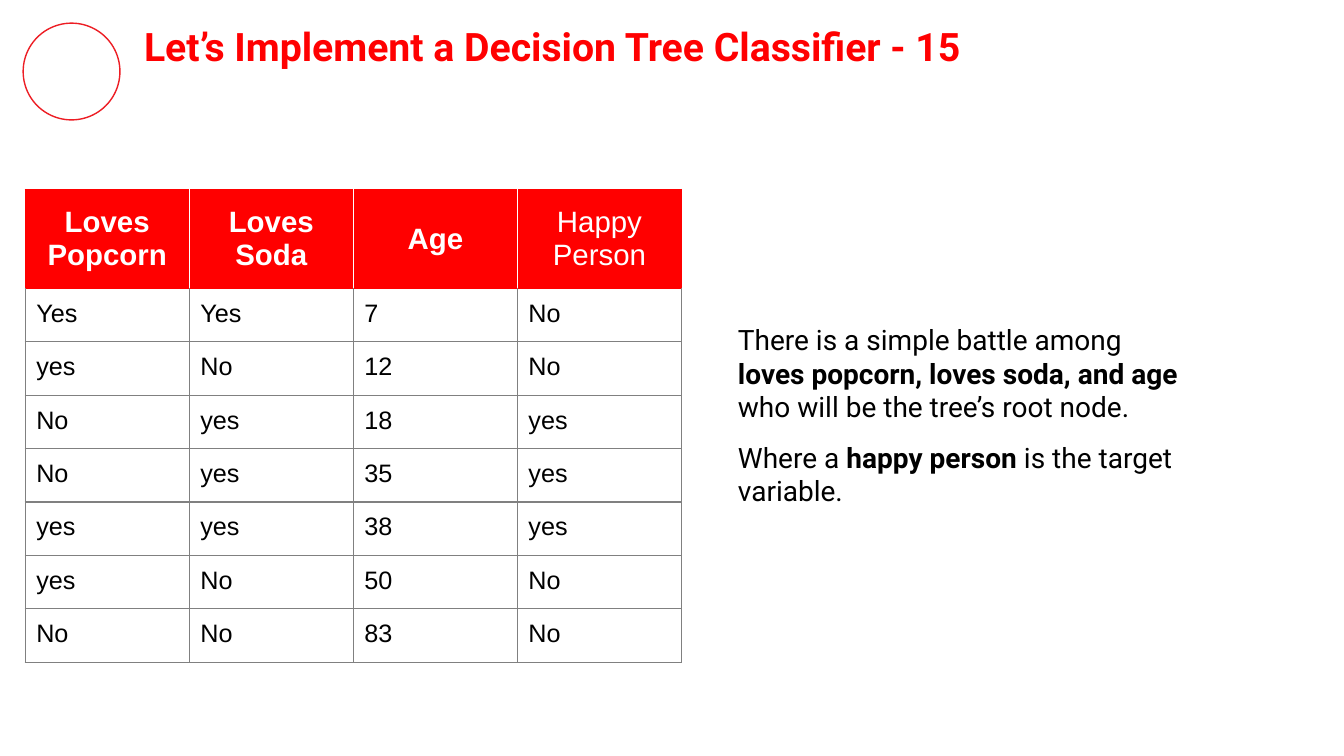
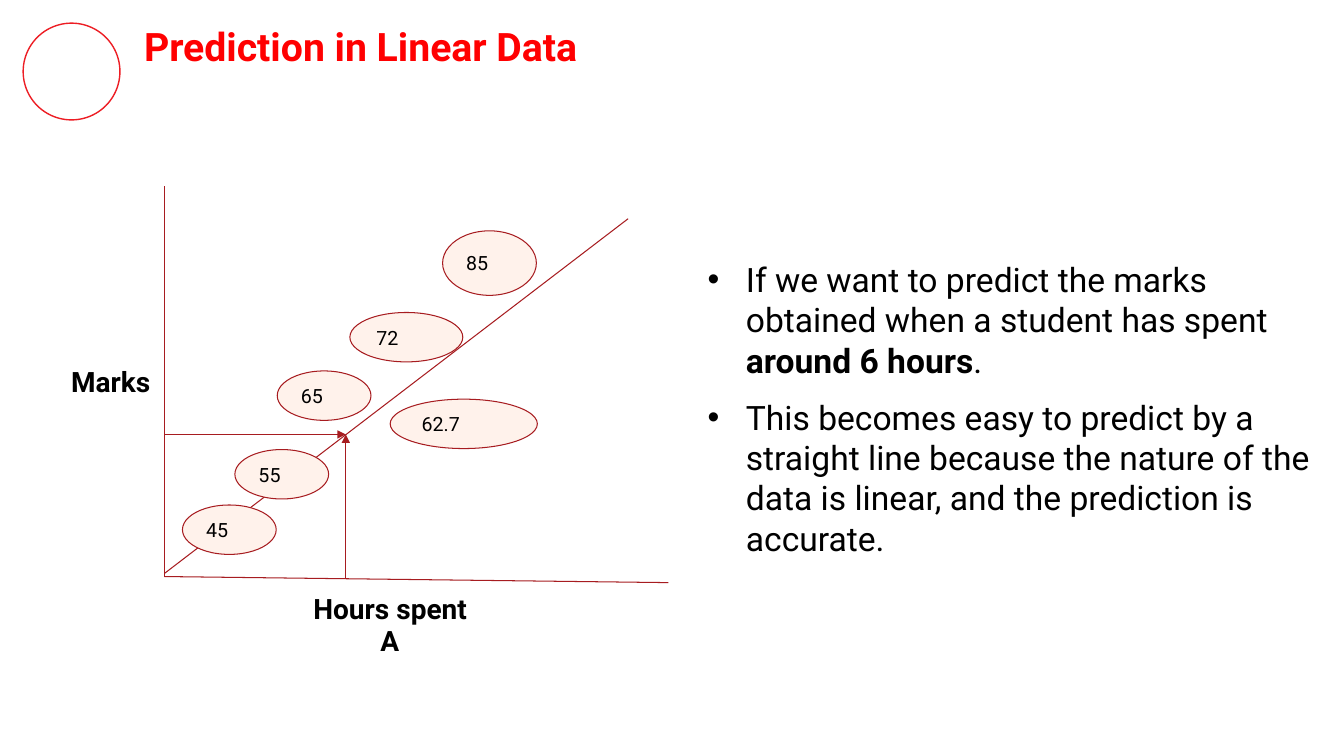
from lxml import etree
from pptx import Presentation
from pptx.dml.color import RGBColor
from pptx.enum import shapes, text
from pptx.oxml import ns
from pptx.util import Inches, Pt

# Shared look
RED, TITLE_RED, RING_RED, DARK_RED = "FF0000", "FF0001", "ED1D24", "A71C20"
BLACK, WHITE, GREY, CREAM = "000000", "FFFFFF", "808080", "FFF2EB"
BODY_FONT, TABLE_FONT = "Roboto", "Arial"
LEFT, CENTER, RIGHT = text.PP_ALIGN.LEFT, text.PP_ALIGN.CENTER, text.PP_ALIGN.RIGHT

# Content: a paragraph is a list of (words, bold)
TREE_TITLE = "Let’s Implement a Decision Tree Classifier - 15"
HEADERS = [("Loves Popcorn", True), ("Loves Soda", True), ("Age", True), ("Happy Person", False)]
PEOPLE = [
    ("Yes", "Yes", "7", "No"),
    ("yes", "No", "12", "No"),
    ("No", "yes", "18", "yes"),
    ("No", "yes", "35", "yes"),
    ("yes", "yes", "38", "yes"),
    ("yes", "No", "50", "No"),
    ("No", "No", "83", "No"),
]
BATTLE = [
    [("There is a simple battle among ", False), ("loves popcorn, loves soda, and age ", True),
     ("who will be the tree’s root node.", False)],
    [("Where a ", False), ("happy person", True), (" is the target variable.", False)],
]

LINEAR_TITLE = "Prediction in Linear Data"
ORIGIN_X, ORIGIN_Y = 1.63, 5.72
HOURS_X, MARKS_Y = 3.43, 4.31
GRAPH_LINES = [  # start, end
    ((ORIGIN_X, 5.69), (6.23, 2.17)),
    ((ORIGIN_X, 1.85), (ORIGIN_X, ORIGIN_Y)),
    ((ORIGIN_X, ORIGIN_Y), (6.63, 5.78)),
]
PREDICTION_ARROWS = [
    ((HOURS_X, 5.74), (HOURS_X, MARKS_Y)),
    ((ORIGIN_X, MARKS_Y), (HOURS_X, MARKS_Y)),
]
AXIS_LABELS = [  # words, box, alignment
    ("A", (3.24, 6.09, 1.25, 0.54), CENTER),
    ("Hours spent", (2.14, 5.77, 3.46, 0.54), CENTER),
    ("Marks", (0.25, 3.52, 1.34, 0.54), RIGHT),
]
SCORES = [  # mark, box
    ("45", (1.81, 5.01, 0.93, 0.49)),
    ("55", (2.33, 4.46, 0.93, 0.49)),
    ("65", (2.75, 3.68, 0.93, 0.49)),
    ("62.7", (3.87, 3.96, 1.46, 0.49)),
    ("72", (3.47, 3.1, 1.12, 0.49)),
    ("85", (4.39, 2.29, 0.93, 0.64)),
]
REASONS = [
    [("If we want to predict the marks obtained when a student has spent", False),
     (" around 6 hours", True), (".", False)],
    [("This becomes easy to predict by a straight line because the nature of the data is "
      "linear, and the prediction is accurate.", False)],
]


def rgb(color):
    return RGBColor.from_string(color)


def inches(values):
    return [Inches(v) for v in values]


def style(font, size, color=BLACK, bold=False, name=BODY_FONT):
    font.name, font.size, font.bold = name, Pt(size), bold
    font.color.rgb = rgb(color)


def set_margins(owner, side, top):
    owner.margin_left = owner.margin_right = Inches(side)
    owner.margin_top = owner.margin_bottom = Inches(top)


def add_bullet(paragraph, indent=0.38):
    props = paragraph._p.get_or_add_pPr()
    props.set("marL", str(Inches(indent)))
    props.set("indent", str(-Inches(indent)))
    color = etree.SubElement(props, ns.qn("a:buClr"))
    etree.SubElement(color, ns.qn("a:srgbClr"), val=BLACK)
    etree.SubElement(props, ns.qn("a:buFont"), typeface="Arial")
    etree.SubElement(props, ns.qn("a:buChar"), char="•")


def add_text(slide, box, paragraphs, size, color=BLACK, align=LEFT, after=0,
             bullets=False, top_margin=0.1):
    frame = slide.shapes.add_textbox(*inches(box)).text_frame
    frame.word_wrap = True
    set_margins(frame, 0.1, top_margin)
    for i, pieces in enumerate(paragraphs):
        paragraph = frame.add_paragraph() if i else frame.paragraphs[0]
        if bullets:
            add_bullet(paragraph)
        paragraph.alignment = align
        paragraph.space_after = Pt(after)
        for words, bold in pieces:
            run = paragraph.add_run()
            run.text = words
            style(run.font, size, color, bold)


def add_ellipse(slide, box, line_color, width, fill=None):
    ellipse = slide.shapes.add_shape(shapes.MSO_SHAPE.OVAL, *inches(box))
    ellipse.shadow.inherit = False
    if fill:
        ellipse.fill.solid()
        ellipse.fill.fore_color.rgb = rgb(fill)
    else:
        ellipse.fill.background()
    ellipse.line.color.rgb = rgb(line_color)
    ellipse.line.width = Pt(width)
    return ellipse


def add_line(slide, start, end, arrow=False):
    line = slide.shapes.add_connector(shapes.MSO_CONNECTOR.STRAIGHT, *inches(start + end))
    line.line.color.rgb = rgb(DARK_RED)
    line.line.width = Pt(0.75)
    if arrow:
        etree.SubElement(line.line._get_or_add_ln(), ns.qn("a:tailEnd"), type="triangle")
    etree.SubElement(line._element.spPr, ns.qn("a:effectLst"))


def set_borders(cell, **colors):
    props = cell._tc.get_or_add_tcPr()
    for position, side in enumerate("LRTB"):
        border = etree.Element(ns.qn(f"a:ln{side}"), w=str(Pt(1)))
        fill = etree.SubElement(border, ns.qn("a:solidFill"))
        etree.SubElement(fill, ns.qn("a:srgbClr"), val=colors[side])
        props.insert(position, border)


def fill_cell(cell, words, fill, size, color, bold, align, anchor):
    set_margins(cell, 0.11, 0.11)
    cell.fill.solid()
    cell.fill.fore_color.rgb = rgb(fill)
    cell.vertical_anchor = anchor
    paragraph = cell.text_frame.paragraphs[0]
    paragraph.text = words
    paragraph.alignment = align
    style(paragraph.runs[0].font, size, color, bold, TABLE_FONT)


def add_people_table(slide):
    columns = len(HEADERS)
    table = slide.shapes.add_table(len(PEOPLE) + 1, columns,
                                   *inches((0.25, 1.88, 6.51, 4.72))).table
    for column in table.columns:
        column.width = Inches(6.51 / columns)
    for r, row in enumerate(table.rows):
        row.height = Inches(0.53 if r else 0.98)

    for c, (words, bold) in enumerate(HEADERS):
        cell = table.cell(0, c)
        fill_cell(cell, words, RED, 21, WHITE, bold, CENTER, text.MSO_ANCHOR.MIDDLE)
        set_borders(cell, L=WHITE if c else RED, R=WHITE if c < columns - 1 else RED,
                    T=RED, B=RED)
    for r, person in enumerate(PEOPLE, 1):
        for c, words in enumerate(person):
            cell = table.cell(r, c)
            fill_cell(cell, words, WHITE, 18, BLACK, False, LEFT, text.MSO_ANCHOR.TOP)
            set_borders(cell, L=GREY, R=GREY, T=RED if r == 1 else GREY, B=GREY)


def add_slide(deck, title):
    slide = deck.slides.add_slide(deck.slide_layouts[6])
    add_ellipse(slide, (0.23, 0.23, 0.96, 0.96), RING_RED, 1)
    add_text(slide, (1.33, 0.12, 11.18, 0.67), [[(title, True)]], 28, TITLE_RED)
    return slide


def build_tree_slide(deck):
    slide = add_slide(deck, TREE_TITLE)
    add_people_table(slide)
    add_text(slide, (7.22, 3.1, 4.72, 2.28), BATTLE, 20, after=12)


def build_linear_slide(deck):
    slide = add_slide(deck, LINEAR_TITLE)
    # Axes and trend, then labels
    for start, end in GRAPH_LINES:
        add_line(slide, start, end)
    for words, box, align in AXIS_LABELS:
        add_text(slide, box, [[(words, True)]], 20, align=align)
    # Scores
    for mark, box in SCORES:
        score = add_ellipse(slide, box, DARK_RED, 0.75, CREAM)
        frame = score.text_frame
        set_margins(frame, 0.1, 0.1)
        frame.vertical_anchor = text.MSO_ANCHOR.MIDDLE
        frame.text = mark
        frame.paragraphs[0].alignment = LEFT
        style(frame.paragraphs[0].runs[0].font, 14)
    # Prediction
    for start, end in PREDICTION_ARROWS:
        add_line(slide, start, end, arrow=True)
    add_text(slide, (6.92, 2.52, 6.17, 3.1), REASONS, 24, after=12, bullets=True,
             top_margin=0.05)


def main():
    deck = Presentation()
    deck.slide_width, deck.slide_height = Inches(13.33), Inches(7.5)
    build_tree_slide(deck)
    build_linear_slide(deck)
    deck.save("out.pptx")


if __name__ == "__main__":
    main()
